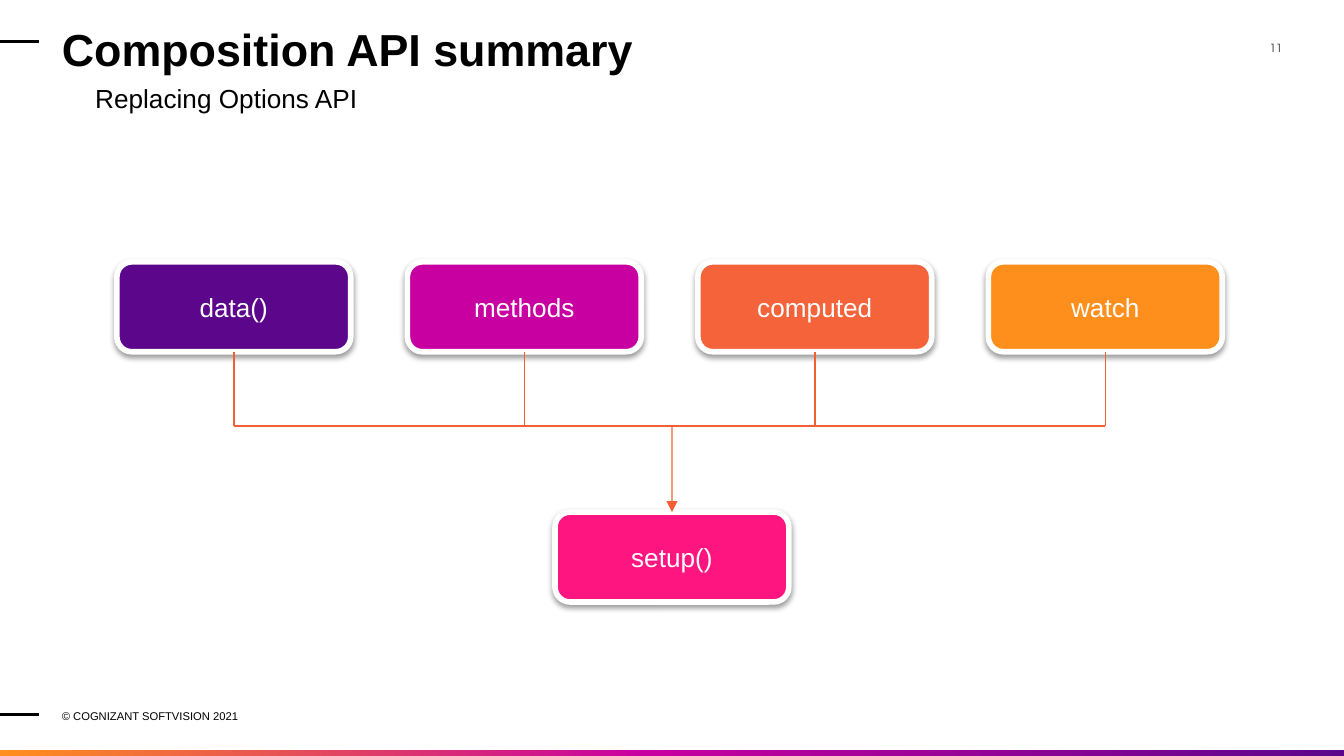
from copy import deepcopy

from lxml import etree
from pptx import Presentation
from pptx.dml.color import RGBColor
from pptx.enum.shapes import MSO_CONNECTOR, MSO_SHAPE
from pptx.enum.text import MSO_ANCHOR, PP_ALIGN
from pptx.oxml.ns import qn
from pptx.util import Cm, Pt

STRAIGHT = MSO_CONNECTOR.STRAIGHT
RECT, ROUNDED = MSO_SHAPE.RECTANGLE, MSO_SHAPE.ROUNDED_RECTANGLE
TOP, MIDDLE = MSO_ANCHOR.TOP, MSO_ANCHOR.MIDDLE
LEFT, CENTER, RIGHT = PP_ALIGN.LEFT, PP_ALIGN.CENTER, PP_ALIGN.RIGHT
TOP_SITE, BOTTOM_SITE = 0, 2

THEME = {
    "font": "Arial", "number_font": "TeX Gyre Adventor",
    "title": 24, "body": 14, "small": 6,
    "black": "000000", "gray": "212121", "white": "FFFFFF", "line": "F35E34",
    "purple": "5C068C", "magenta": "C800A1", "coral": "F4633A",
    "orange": "FF8F1C", "pink": "FF157F",
}

SLIDE_W, SLIDE_H = 25.4, 14.29
BOX_W, BOX_H = 4.42, 1.7
ROW_X, ROW_Y, PITCH = 2.21, 4.95, 5.49
BUS_Y, SETUP_Y = 8.05, 9.68
MARGIN = 1.17
OPTIONS = [("data()", "purple"), ("methods", "magenta"),
           ("computed", "coral"), ("watch", "orange")]


class SlideBuilder:
    def __init__(self, slide, theme):
        self.slide, self.theme = slide, theme

    def color(self, name):
        return RGBColor.from_string(self.theme[name])

    def set_text(self, sp, text, size, color, align, anchor, font="font", bold=False):
        tf = sp.text_frame
        tf.word_wrap, tf.vertical_anchor = True, anchor
        p = tf.paragraphs[0]
        p.alignment = align
        r = p.add_run()
        r.text = text
        style = {"name": self.theme[font], "size": Pt(self.theme[size]), "bold": bold}
        for key, value in style.items():
            setattr(r.font, key, value)
        r.font.color.rgb = self.color(color)
        return p

    def text(self, box, text, size, color="black", align=LEFT, anchor=MIDDLE,
             insets=(0, 0, 0, 0), **style):
        sp = self.slide.shapes.add_textbox(*map(Cm, box))
        for side, inset in zip(("left", "top", "right", "bottom"), insets):
            setattr(sp.text_frame, f"margin_{side}", Cm(inset))
        return self.set_text(sp, text, size, color, align, anchor, **style)

    def card(self, x, y, text, fill):
        sp = self.slide.shapes.add_shape(ROUNDED, *map(Cm, (x, y, BOX_W, BOX_H)))
        sp.fill.solid()
        sp.fill.fore_color.rgb = self.color(fill)
        sp.line.color.rgb = self.color("white")
        sp.line.width = Pt(3)
        self.soft_shadow(sp)
        self.set_text(sp, text, "body", "white", CENTER, MIDDLE)
        return sp

    def soft_shadow(self, sp):
        sp.shadow.inherit = False
        effects = sp._element.spPr.find(qn("a:effectLst"))
        shadow = etree.SubElement(effects, qn("a:outerShdw"), blurRad=str(Pt(3.1)),
                                  dist=str(Pt(1.6)), dir="5400000", rotWithShape="0")
        clr = etree.SubElement(shadow, qn("a:srgbClr"), val=self.theme["black"])
        etree.SubElement(clr, qn("a:alpha"), val="38000")

    def line(self, x1, y1, x2, y2, color="line", width=0.75, start=None, end=None,
             arrow=False):
        """Draw a straight line; start and end are optional (shape, site) pairs."""
        c = self.slide.shapes.add_connector(STRAIGHT, *map(Cm, (x1, y1, x2, y2)))
        if start:
            c.begin_connect(*start)
        if end:
            c.end_connect(*end)
        c.line.color.rgb = self.color(color)
        c.line.width = Pt(width)
        spPr = c._element.spPr
        if arrow:
            etree.SubElement(spPr.find(qn("a:ln")), qn("a:tailEnd"), type="triangle")
        etree.SubElement(spPr, qn("a:effectLst"))

    def gradient_bar(self, box, stops):
        """Fill a bar from left to right with three (position, colour) stops."""
        sp = self.slide.shapes.add_shape(RECT, *map(Cm, box))
        sp.shadow.inherit = False
        sp.line.fill.background()
        sp.fill.gradient()
        sp.fill.gradient_angle = 0
        first = sp._element.spPr.find(".//" + qn("a:gs"))
        first.addnext(deepcopy(first))
        for stop, (position, color) in zip(sp.fill.gradient_stops, stops):
            stop.position = position
            stop.color.rgb = self.color(color)


def add_frame(s):
    s.text((22.71, 0.79, 1.52, 1.09), "11", "small", "gray", RIGHT, TOP,
           font="number_font")
    s.text((MARGIN, 13.33, 5.64, 0.41), "© COGNIZANT SOFTVISION 2021", "small")
    for y in (0.78, 13.5):
        s.line(0, y, 0.74, y, "black", 1.5)
    s.gradient_bar((0, 14.17, SLIDE_W, 0.12),
                   [(0, "orange"), (0.48, "magenta"), (1, "purple")])


def add_headings(s):
    s.text((MARGIN, 0.48, 20.37, 0.89), "Composition API summary", "title",
           insets=(0, 0.25, 0.25, 0.25), bold=True)
    p = s.text((MARGIN, 1.5, 23.06, 0.71), "Replacing Options API", "body")
    pPr = p._p.get_or_add_pPr()
    pPr.set("marL", str(Cm(1.27)))
    pPr.set("indent", str(Cm(-0.64)))


def add_diagram(s):
    options = [s.card(ROW_X + i * PITCH, ROW_Y, text, fill)
               for i, (text, fill) in enumerate(OPTIONS)]
    setup = s.card((SLIDE_W - BOX_W) / 2, SETUP_Y, "setup()", "pink")
    centers = [ROW_X + BOX_W / 2 + i * PITCH for i in range(len(OPTIONS))]
    for x, option in zip(centers, options):
        s.line(x, ROW_Y + BOX_H, x, BUS_Y, start=(option, BOTTOM_SITE))
    s.line(centers[0], BUS_Y, centers[-1], BUS_Y)
    s.line(SLIDE_W / 2, BUS_Y, SLIDE_W / 2, SETUP_Y, end=(setup, TOP_SITE), arrow=True)


def main():
    prs = Presentation()
    prs.slide_width, prs.slide_height = Cm(SLIDE_W), Cm(SLIDE_H)
    s = SlideBuilder(prs.slides.add_slide(prs.slide_layouts[6]), THEME)
    add_frame(s)
    add_headings(s)
    add_diagram(s)
    prs.save("out.pptx")


if __name__ == "__main__":
    main()
